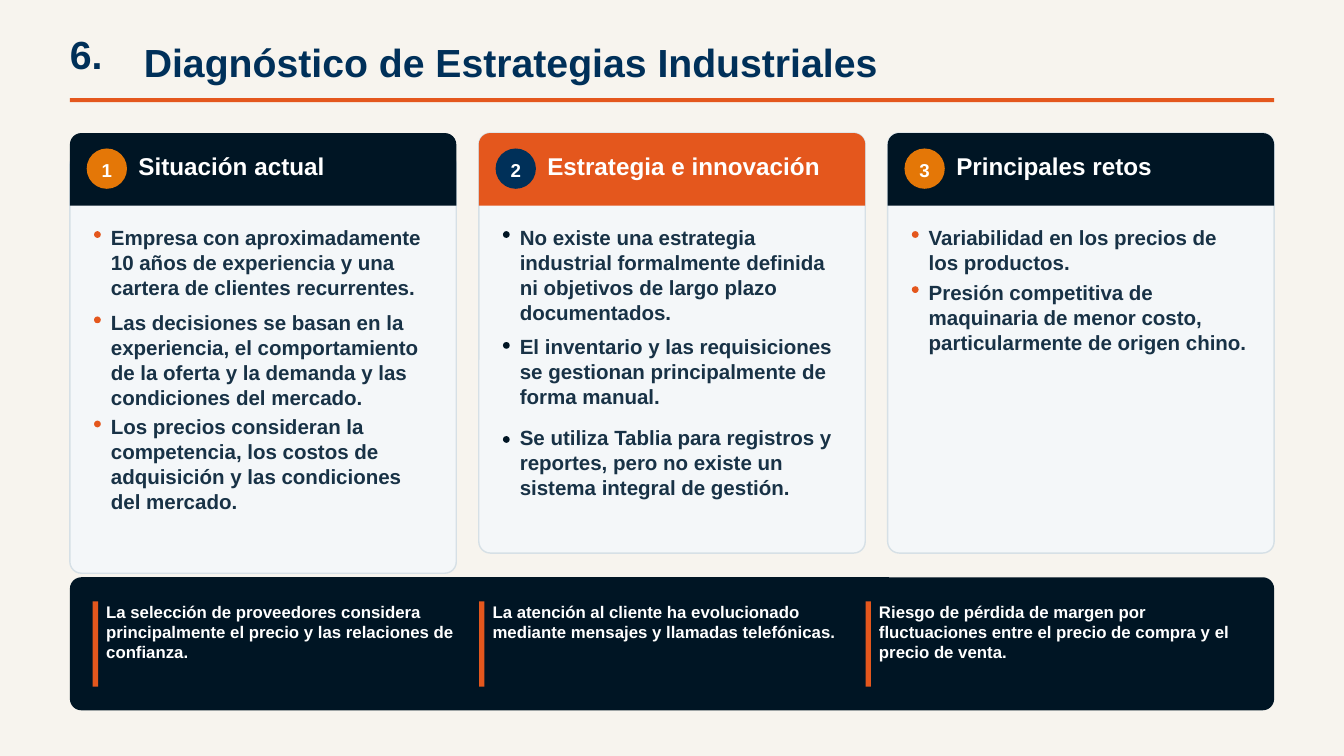
from dataclasses import dataclass

import pptx
import pptx.dml.color
import pptx.enum.shapes
import pptx.enum.text
import pptx.util

Inches = pptx.util.Inches
Pt = pptx.util.Pt
SHAPES = pptx.enum.shapes.MSO_SHAPE

COLORS = {
    "paper": "F7F4EE",
    "card": "F4F7F9",
    "border": "D6E0E6",
    "night": "001524",
    "navy": "003059",
    "body": "183246",
    "orange": "E4571D",
    "amber": "E47707",
    "white": "FFFFFF",
}

MARGIN = 1.04
CONTENT_WIDTH = 17.92
CARD_WIDTH = 5.75
CARD_HEIGHT = 6.25
CARD_PITCH = (CONTENT_WIDTH - CARD_WIDTH) / 2
HEADER_TOP = 1.98
HEADER_HEIGHT = 1.08
CORNER = 0.17
DOT = 0.1
BADGE = 0.6
NOTE_TOP = 8.95
NOTE_PITCH = 5.75


@dataclass
class Bullet:
    top: float
    height: float
    text: str
    dot_offset: float = 0.1


@dataclass
class Card:
    title: str
    top: float
    header: str
    badge: str
    dot: str
    bullets: list[Bullet]


@dataclass
class Note:
    height: float
    text: str


CARDS = [
    Card("Situación actual", 2.28, "night", "amber", "orange", [
        Bullet(3.34, 1.1, "Empresa con aproximadamente 10 años de experiencia y una "
                          "cartera de clientes recurrentes."),
        Bullet(4.61, 1.46, "Las decisiones se basan en la experiencia, el comportamiento "
                           "de la oferta y la demanda y las condiciones del mercado."),
        Bullet(6.16, 1.46, "Los precios consideran la competencia, los costos de "
                           "adquisición y las condiciones del mercado."),
    ]),
    Card("Estrategia e innovación", HEADER_TOP, "orange", "navy", "night", [
        Bullet(3.34, 1.46, "No existe una estrategia industrial formalmente definida "
                           "ni objetivos de largo plazo documentados."),
        Bullet(4.96, 1.1, "El inventario y las requisiciones se gestionan "
                          "principalmente de forma manual.", 0.13),
        Bullet(6.32, 1.1, "Se utiliza Tablia para registros y reportes, pero no existe "
                          "un sistema integral de gestión.", 0.17),
    ]),
    Card("Principales retos", HEADER_TOP, "night", "amber", "orange", [
        Bullet(3.34, 0.73, "Variabilidad en los precios de los productos."),
        Bullet(4.16, 1.1, "Presión competitiva de maquinaria de menor costo, "
                          "particularmente de origen chino."),
    ]),
]

NOTES = [
    Note(0.88, "La selección de proveedores considera principalmente el precio y las "
               "relaciones de confianza."),
    Note(0.58, "La atención al cliente ha evolucionado mediante mensajes y llamadas "
               "telefónicas."),
    Note(0.88, "Riesgo de pérdida de margen por fluctuaciones entre el precio de compra "
               "y el precio de venta."),
]


def rgb(color: str) -> pptx.dml.color.RGBColor:
    return pptx.dml.color.RGBColor.from_string(COLORS[color])


def add_block(slide, kind, left: float, top: float, width: float, height: float,
              fill: str, border: str | None = None, corner: float = 0):
    """Add a filled shape; corner is the radius in inches of its rounded corners."""
    block = slide.shapes.add_shape(
        kind, Inches(left), Inches(top), Inches(width), Inches(height))
    block.shadow.inherit = False
    block.fill.solid()
    block.fill.fore_color.rgb = rgb(fill)
    if border:
        block.line.color.rgb = rgb(border)
        block.line.width = Pt(1.5)
    else:
        block.line.fill.background()
    if corner:
        block.adjustments[0] = corner / min(width, height)
    return block


def write(frame, text: str, size: float, spacing: float, color: str) -> None:
    """Fill a text frame with one bold paragraph and no insets."""
    frame.margin_left = frame.margin_right = 0
    frame.margin_top = frame.margin_bottom = 0
    paragraph = frame.paragraphs[0]
    paragraph.text = text
    paragraph.line_spacing = Pt(spacing)
    paragraph.font.name = "Arial"
    paragraph.font.size = Pt(size)
    paragraph.font.bold = True
    paragraph.font.color.rgb = rgb(color)


def add_text(slide, text: str, left: float, top: float, width: float, height: float,
             size: float, spacing: float, color: str) -> None:
    frame = slide.shapes.add_textbox(
        Inches(left), Inches(top), Inches(width), Inches(height)).text_frame
    frame.word_wrap = True
    frame.auto_size = pptx.enum.text.MSO_AUTO_SIZE.SHAPE_TO_FIT_TEXT
    write(frame, text, size, spacing, color)


def add_badge(slide, number: int, left: float, color: str) -> None:
    badge = add_block(slide, SHAPES.OVAL, left, 2.21, BADGE, BADGE, color)
    frame = badge.text_frame
    frame.word_wrap = False
    frame.vertical_anchor = pptx.enum.text.MSO_ANCHOR.MIDDLE
    write(frame, str(number), 20, 28, "white")
    frame.paragraphs[0].alignment = pptx.enum.text.PP_ALIGN.CENTER


def add_card(slide, number: int, left: float, card: Card) -> None:
    add_block(slide, SHAPES.ROUNDED_RECTANGLE, left, card.top, CARD_WIDTH, CARD_HEIGHT,
              "card", "border", CORNER)
    add_block(slide, SHAPES.ROUND_2_SAME_RECTANGLE, left, HEADER_TOP, CARD_WIDTH,
              HEADER_HEIGHT, card.header, corner=CORNER)
    add_badge(slide, number, left + 0.25, card.badge)
    add_text(slide, card.title, left + 1.02, 2.3, 4.48, 0.4, 26, 27.3, "white")
    for bullet in card.bullets:
        add_block(slide, SHAPES.OVAL, left + 0.36, bullet.top + bullet.dot_offset,
                  DOT, DOT, card.dot)
        add_text(slide, bullet.text, left + 0.61, bullet.top, 4.79, bullet.height,
                 22, 26.8, "body")


def add_note(slide, left: float, note: Note) -> None:
    add_block(slide, SHAPES.RECTANGLE, left, NOTE_TOP, 0.08, 1.27, "orange")
    add_text(slide, note.text, left + 0.2, NOTE_TOP, 5.21, note.height, 18, 21.6, "white")


def main() -> None:
    deck = pptx.Presentation()
    deck.slide_width = Inches(20)
    deck.slide_height = Inches(11.25)
    slide = deck.slides.add_slide(deck.slide_layouts[6])
    slide.background.fill.solid()
    slide.background.fill.fore_color.rgb = rgb("paper")

    add_text(slide, "6.", MARGIN, 0.33, 0.92, 0.8, 42, 58.8, "navy")
    add_text(slide, "Diagnóstico de Estrategias Industriales", 2.14, 0.46, 16.82, 0.8,
             42, 58.8, "navy")
    add_block(slide, SHAPES.RECTANGLE, MARGIN, 1.46, CONTENT_WIDTH, 0.06, "orange")

    for index, card in enumerate(CARDS):
        add_card(slide, index + 1, MARGIN + index * CARD_PITCH, card)

    add_block(slide, SHAPES.ROUNDED_RECTANGLE, MARGIN, 8.59, CONTENT_WIDTH, 1.98,
              "night", corner=CORNER)
    for index, note in enumerate(NOTES):
        add_note(slide, 1.38 + index * NOTE_PITCH, note)

    deck.save("out.pptx")


if __name__ == "__main__":
    main()
